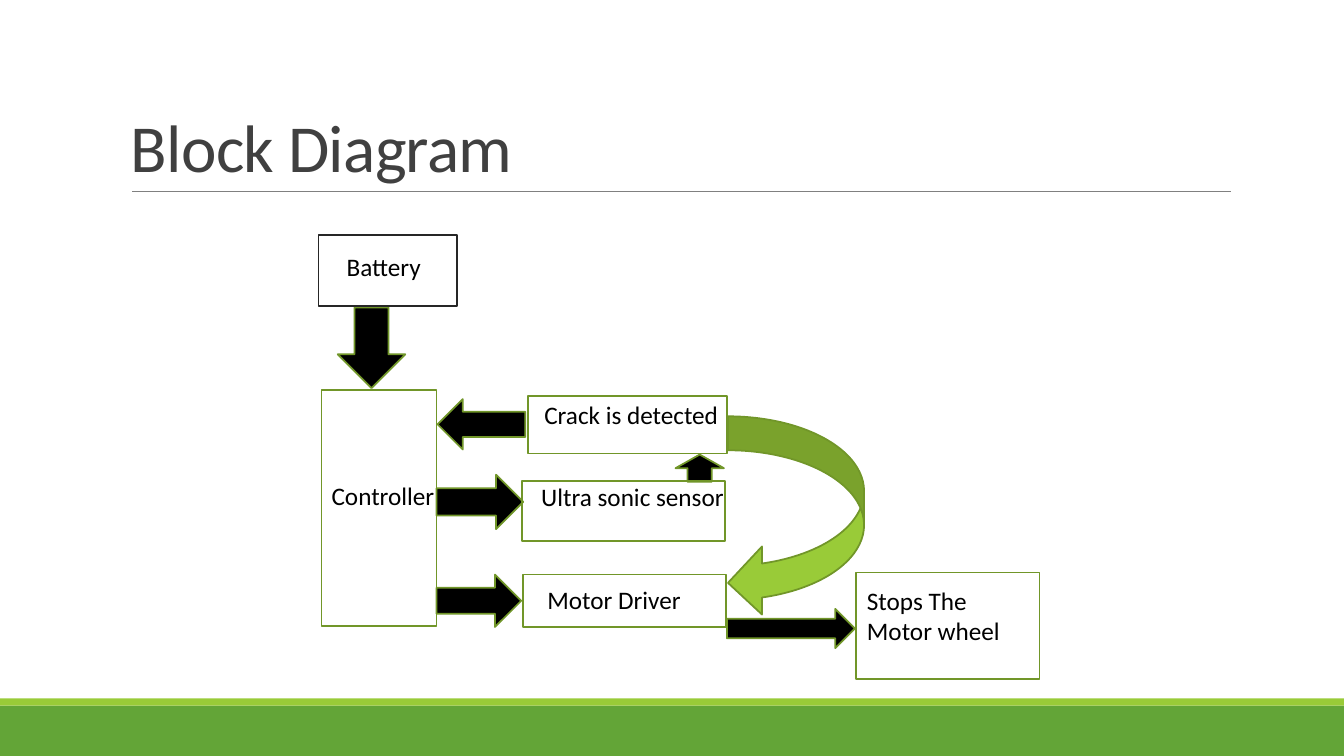
from pptx import Presentation
from pptx.dml.color import RGBColor
from pptx.enum.shapes import MSO_CONNECTOR, MSO_SHAPE
from pptx.enum.text import MSO_ANCHOR
from pptx.oxml.ns import qn
from pptx.util import Inches, Pt
from lxml.etree import SubElement

FONT = "Calibri"
BLACK = RGBColor(0x00, 0x00, 0x00)
DARK = RGBColor(0x26, 0x26, 0x26)
TITLE = RGBColor(0x40, 0x40, 0x40)
GRAY = RGBColor(0x80, 0x80, 0x80)
GREEN = RGBColor(0x63, 0xA5, 0x37)
LIME = RGBColor(0x99, 0xCB, 0x38)
OLIVE = RGBColor(0x71, 0x96, 0x29)

WIDTH, HEIGHT = 13.33, 7.5
CELL = 0.1  # side of one diagram grid cell, in inches

# Blocks: label, outline, (column, row, columns, rows),
# label (column, row, columns, rows) counted from the block's corner
BLOCKS = [
    ("Battery", DARK, (0.6, 0.3, 13.7, 7.1), (1.8, 1.1, 11.4, 4)),
    ("Crack is detected", OLIVE, (21.4, 16.3, 19.7, 5.7), (0.6, -0.2, 19.7, 4)),
    ("Ultra sonic sensor", OLIVE, (20.8, 24.7, 20.1, 6), (0.9, -0.4, 21.7, 4)),
    ("Motor Driver", OLIVE, (20.9, 34, 20.1, 5.2), (1.4, 0.5, 17.2, 4)),
    ("Stops The Motor wheel", OLIVE, (53.9, 33.8, 18.2, 10.6), (0.1, 0.8, 18.1, 7.1)),
    ("Controller", OLIVE, (0.9, 15.7, 11.4, 23.4), (0, 8.5, 16.8, 4)),
]

# Arrows: preset, fill, (column, row, columns, rows)
ARROWS = [
    (MSO_SHAPE.DOWN_ARROW, BLACK, (2.5, 7.5, 6.7, 8)),
    (MSO_SHAPE.LEFT_ARROW, BLACK, (12.4, 16.6, 8.7, 5)),
    (MSO_SHAPE.RIGHT_ARROW, BLACK, (12.3, 24.1, 8.6, 5.4)),
    (MSO_SHAPE.RIGHT_ARROW, BLACK, (12.3, 34, 8.4, 5.2)),
    (MSO_SHAPE.UP_ARROW, BLACK, (36, 22.1, 4.8, 2.7)),
    (MSO_SHAPE.CURVED_LEFT_ARROW, LIME, (41.2, 18.3, 13.5, 19.9)),
    (MSO_SHAPE.RIGHT_ARROW, BLACK, (41.1, 37.4, 12.7, 3.9)),
]


def add_figure(s, preset, box, fill=None, line=None):
    sp = s.shapes.add_shape(preset, *map(Inches, box))
    sp.shadow.inherit = False
    if fill is None:
        sp.fill.background()
    else:
        sp.fill.solid()
        sp.fill.fore_color.rgb = fill
    if line is None:
        sp.line.fill.background()
    else:
        sp.line.color.rgb = line
        sp.line.width = Pt(1.25)
    return sp


def add_text(s, text, box, size, color, anchor=MSO_ANCHOR.TOP):
    tf = s.shapes.add_textbox(*map(Inches, box)).text_frame
    tf.word_wrap = True
    tf.vertical_anchor = anchor
    p = tf.paragraphs[0]
    p.text = text
    p.font.name, p.font.size = FONT, Pt(size)
    p.font.color.rgb = color
    return p


def add_footer(s, box):
    x, y, w, h = box
    strip = 0.07
    add_figure(s, MSO_SHAPE.RECTANGLE, (x, y + strip, w, h - strip), GREEN)
    add_figure(s, MSO_SHAPE.RECTANGLE, (x, y, w, strip), LIME)


def add_title(s, text, box):
    x, y, w, h = box
    rule = s.shapes.add_connector(
        MSO_CONNECTOR.STRAIGHT,
        *map(Inches, (x + 0.11, y + h, x + w + 0.01, y + h)))
    rule.line.color.rgb = GRAY
    rule.line.width = Pt(0.5)
    SubElement(rule._element.spPr, qn("a:effectLst"))

    p = add_text(s, text, box, 48, TITLE, MSO_ANCHOR.BOTTOM)
    p.line_spacing = 0.85
    p.runs[0].font._element.set("spc", "-50")  # tighter letters


def add_diagram(s, left, top):
    def cells(col, row, cols, rows):
        return left + col * CELL, top + row * CELL, cols * CELL, rows * CELL

    for preset, fill, area in ARROWS:
        add_figure(s, preset, cells(*area), fill, OLIVE)
    for label, outline, area, (dx, dy, w, h) in BLOCKS:
        add_figure(s, MSO_SHAPE.RECTANGLE, cells(*area), line=outline)
        add_text(s, label, cells(area[0] + dx, area[1] + dy, w, h), 18, BLACK)


def main():
    prs = Presentation()
    prs.slide_width, prs.slide_height = Inches(WIDTH), Inches(HEIGHT)
    s = prs.slides.add_slide(prs.slide_layouts[6])
    add_footer(s, (0, 6.93, WIDTH, HEIGHT - 6.93))
    add_title(s, "Block Diagram", (1.2, 0.31, 11, 1.59))
    add_diagram(s, 3.1, 2.3)
    prs.save("out.pptx")


if __name__ == "__main__":
    main()
